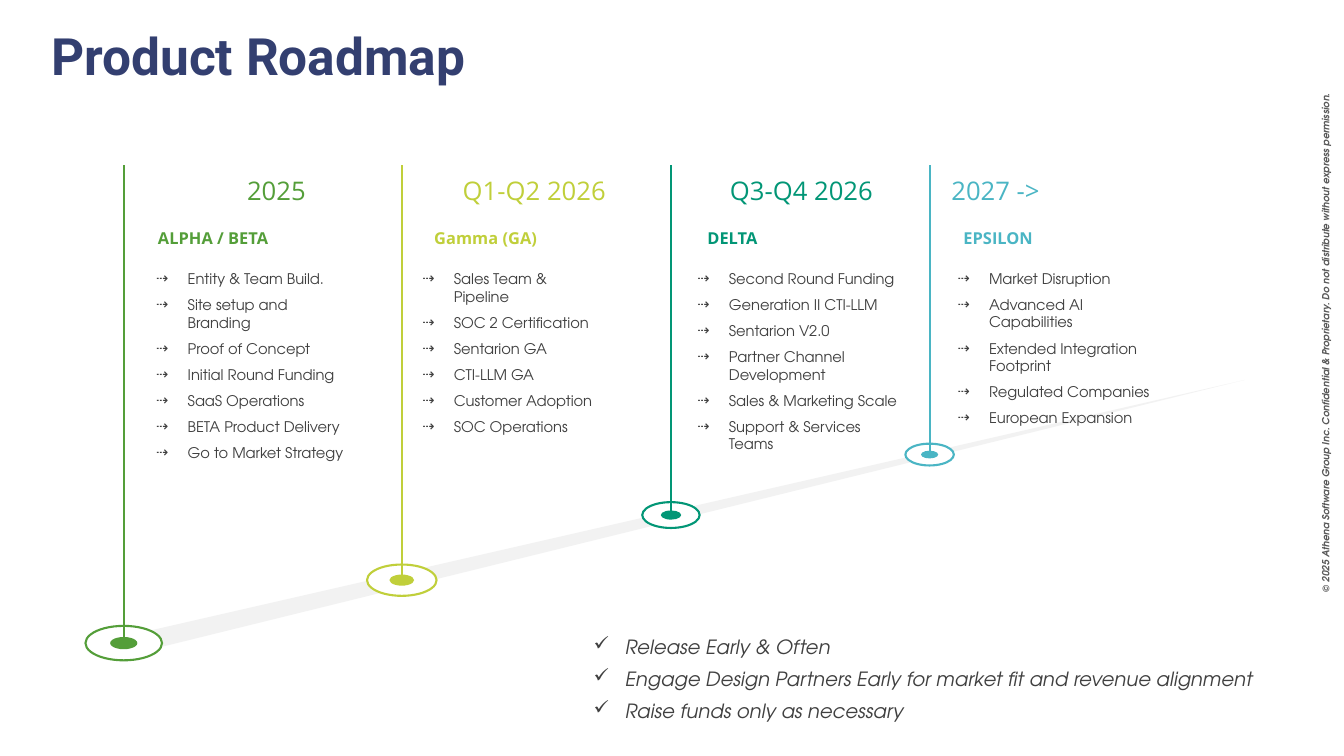
import dataclasses

import pptx
import pptx.dml.color
import pptx.enum.shapes
import pptx.enum.text
import pptx.oxml
import pptx.oxml.ns
import pptx.util

Pt = pptx.util.Pt
ALIGN = pptx.enum.text.PP_ALIGN
ANCHOR = pptx.enum.text.MSO_ANCHOR


@dataclasses.dataclass(frozen=True)
class Style:
    font: str
    size: float
    color: str
    bold: bool = False
    italic: bool = False


@dataclasses.dataclass(frozen=True)
class Theme:
    beam: str = "F2F2F2"
    ring_fill: str = "FFFFFF"
    title: Style = Style("Roboto", 36.7, "333F70", bold=True)
    item: Style = Style("TeX Gyre Adventor", 10.5, "404040")
    principle: Style = Style("TeX Gyre Adventor", 14, "404040", italic=True)
    copyright: Style = Style("TeX Gyre Adventor", 7, "595959", bold=True, italic=True)

    def period(self, color):
        return Style("Open Sans", 18.3, color)

    def stage(self, color):
        return Style("Open Sans", 11.7, color, bold=True)


THEME = Theme()


@dataclasses.dataclass(frozen=True)
class Milestone:
    color: str
    center: tuple
    ring_width: float
    period: str
    period_left: float
    period_align: ALIGN
    stage: str
    stage_left: float
    list_left: float
    list_size: tuple
    items: tuple


MILESTONES = (
    Milestone(
        "549E39", (88.4, 459.4), 54.7, "2025", 116, ALIGN.CENTER,
        "ALPHA / BETA", 105.8, 111.6, (135.4, 138.2),
        ("Entity & Team Build.", "Site setup and Branding", "Proof of Concept",
         "Initial Round Funding", "SaaS Operations", "BETA Product Delivery",
         "Go to Market Strategy"),
    ),
    Milestone(
        "C0CF3A", (287, 414.4), 49.7, "Q1-Q2 2026", 300.2, ALIGN.CENTER,
        "Gamma (GA)", 303.1, 301.7, (129.6, 119.5),
        ("Sales Team & Pipeline", "SOC 2 Certification", "Sentarion GA",
         "CTI-LLM GA", "Customer Adoption", "SOC Operations"),
    ),
    Milestone(
        "029676", (479.3, 367.9), 41, "Q3-Q4 2026", 491, ALIGN.CENTER,
        "DELTA", 498.2, 498.2, (145.4, 131.8),
        ("Second Round Funding", "Generation II CTI-LLM", "Sentarion V2.0",
         "Partner Channel Development", "Sales & Marketing Scale",
         "Support & Services Teams"),
    ),
    Milestone(
        "4AB5C4", (664, 324.7), 34.6, "2027 ->", 672.5, ALIGN.LEFT,
        "EPSILON", 681.1, 684, (145.4, 113),
        ("Market Disruption", "Advanced AI Capabilities",
         "Extended Integration Footprint", "Regulated Companies",
         "European Expansion"),
    ),
)
PRINCIPLES = (
    "Release Early & Often",
    "Engage Design Partners Early for market fit and revenue alignment",
    "Raise funds only as necessary",
)
COPYRIGHT = (
    "© 2025 Athena Software Group Inc. Confidential & Proprietary. "
    "Do not distribute without express permission."
)


def rgb(color):
    return pptx.dml.color.RGBColor.from_string(color)


def place(shape, left, top, width, height):
    shape.left, shape.top = Pt(left), Pt(top)
    shape.width, shape.height = Pt(width), Pt(height)


def add_run(paragraph, text, style):
    run = paragraph.add_run()
    run.text = text
    font = run.font
    font.name, font.size = style.font, Pt(style.size)
    font.bold, font.italic = style.bold, style.italic
    font.color.rgb = rgb(style.color)


def prepare_frame(shape, anchor):
    frame = shape.text_frame
    frame.word_wrap = True
    frame.auto_size = pptx.enum.text.MSO_AUTO_SIZE.NONE
    frame.vertical_anchor = anchor
    return frame


def fill_line(shape, text, style, align=ALIGN.LEFT, anchor=ANCHOR.TOP):
    paragraph = prepare_frame(shape, anchor).paragraphs[0]
    paragraph.alignment = align
    add_run(paragraph, text, style)


def add_label(slide, bounds, text, style, align=ALIGN.LEFT, anchor=ANCHOR.TOP):
    label = slide.shapes.add_textbox(*map(Pt, bounds))
    fill_line(label, text, style, align, anchor)
    return label


def set_bullet(paragraph, character):
    properties = paragraph._p.get_or_add_pPr()
    properties.set("marL", str(Pt(22.5)))
    properties.set("indent", str(-Pt(22.5)))
    bullet = pptx.oxml.parse_xml(
        f'<a:buChar {pptx.oxml.ns.nsdecls("a")} char="{character}"/>'
    )
    properties.append(bullet)


def fill_list(shape, items, character, style):
    frame = prepare_frame(shape, ANCHOR.MIDDLE)
    frame.margin_left = frame.margin_right = 0
    frame.margin_top = frame.margin_bottom = 0
    for index, item in enumerate(items):
        paragraph = frame.add_paragraph() if index else frame.paragraphs[0]
        set_bullet(paragraph, character)
        paragraph.alignment = ALIGN.LEFT
        paragraph.space_before = Pt(6 if index else 0)
        add_run(paragraph, item, style)


def add_beam(slide):
    points = [(Pt(x), Pt(y)) for x, y in
              ((889, 271.4), (105.8, 464.4), (104.4, 464.4), (87.1, 455))]
    builder = slide.shapes.build_freeform(*points[0])
    builder.add_line_segments(points[1:], close=True)
    beam = builder.convert_to_shape()
    beam.shadow.inherit = False
    beam.fill.solid()
    beam.fill.fore_color.rgb = rgb(THEME.beam)
    beam.line.fill.background()
    slide.shapes._spTree.insert(2, beam._element)


def add_ellipse(slide, center, width, fill, outline=None):
    height = width * 0.45
    left, top = center[0] - width / 2, center[1] - height / 2
    ellipse = slide.shapes.add_shape(
        pptx.enum.shapes.MSO_SHAPE.OVAL, *map(Pt, (left, top, width, height))
    )
    ellipse.shadow.inherit = False
    ellipse.fill.solid()
    ellipse.fill.fore_color.rgb = rgb(fill)
    if outline:
        ellipse.line.color.rgb = rgb(outline)
        ellipse.line.width = Pt(1.5)
    else:
        ellipse.line.fill.background()


def add_pole(slide, center, color):
    x, bottom = center
    pole = slide.shapes.add_connector(
        pptx.enum.shapes.MSO_CONNECTOR.STRAIGHT, *map(Pt, (x, 118, x, bottom))
    )
    pole.line.color.rgb = rgb(color)
    pole.line.width = Pt(1.5)
    pole._element.spPr.append(
        pptx.oxml.parse_xml(f'<a:effectLst {pptx.oxml.ns.nsdecls("a")}/>')
    )


def add_milestone(slide, milestone, body):
    color, center = milestone.color, milestone.center
    add_ellipse(slide, center, milestone.ring_width, THEME.ring_fill, color)
    add_ellipse(slide, center, milestone.ring_width * 0.355, color)
    add_pole(slide, center, color)
    add_label(slide, (milestone.period_left, 121, 163, 29.5), milestone.period,
              THEME.period(color), milestone.period_align)
    add_label(slide, (milestone.stage_left, 159.1, 163.4, 21.6), milestone.stage,
              THEME.stage(color), anchor=ANCHOR.BOTTOM)
    place(body, milestone.list_left, 192.2, *milestone.list_size)
    fill_list(body, milestone.items, "⇢", THEME.item)


def main():
    presentation = pptx.Presentation()
    presentation.slide_width, presentation.slide_height = Pt(960), Pt(540)
    slide = presentation.slides.add_slide(presentation.slide_layouts[4])
    title, *bodies = slide.placeholders
    place(title, 29.5, 13.7, 828, 75.6)
    fill_line(title, "Product Roadmap", THEME.title)
    add_beam(slide)
    for milestone, body in zip(MILESTONES, bodies):
        add_milestone(slide, milestone, body)
    principles = slide.shapes.add_textbox(*map(Pt, (424.1, 452.9, 497.5, 63.4)))
    fill_list(principles, PRINCIPLES, "✓", THEME.principle)
    notice = add_label(slide, (732.2, 231.1, 429.1, 27.4), COPYRIGHT,
                       THEME.copyright, ALIGN.CENTER, ANCHOR.MIDDLE)
    notice.rotation = 270
    presentation.save("out.pptx")


if __name__ == "__main__":
    main()
